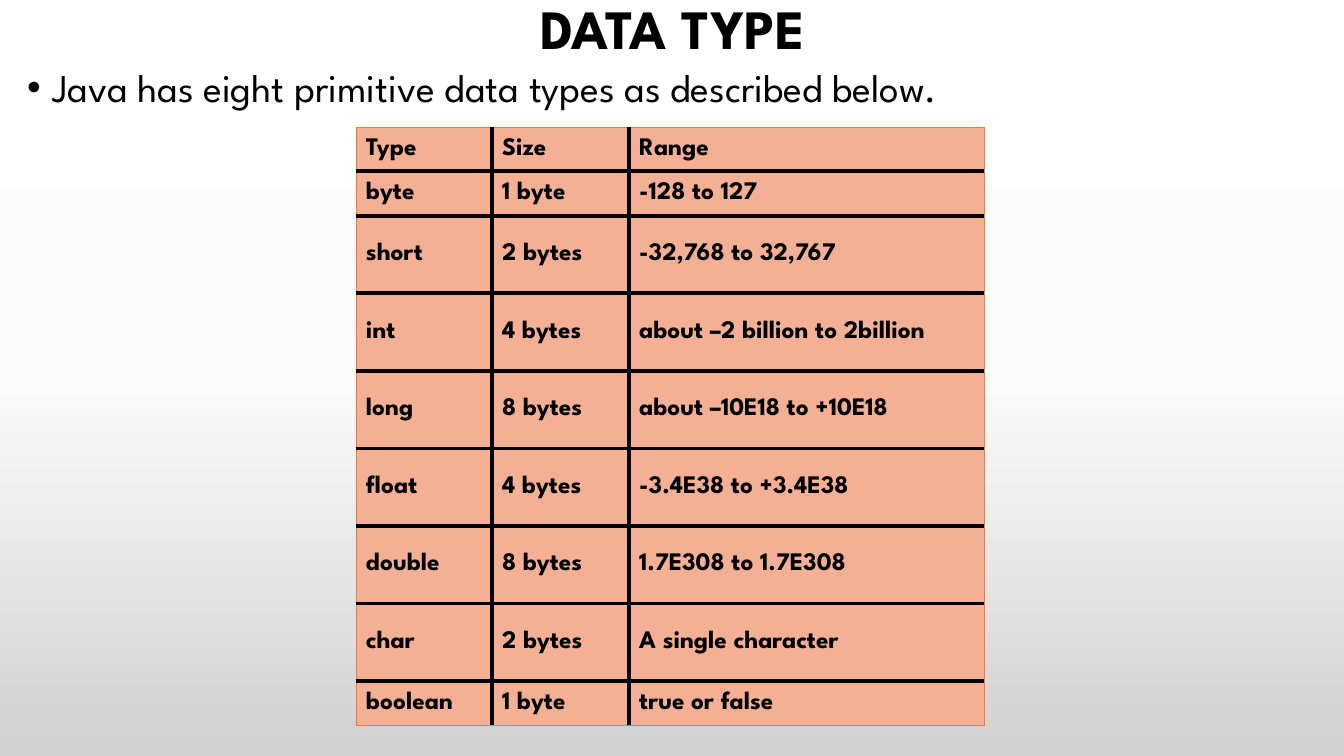
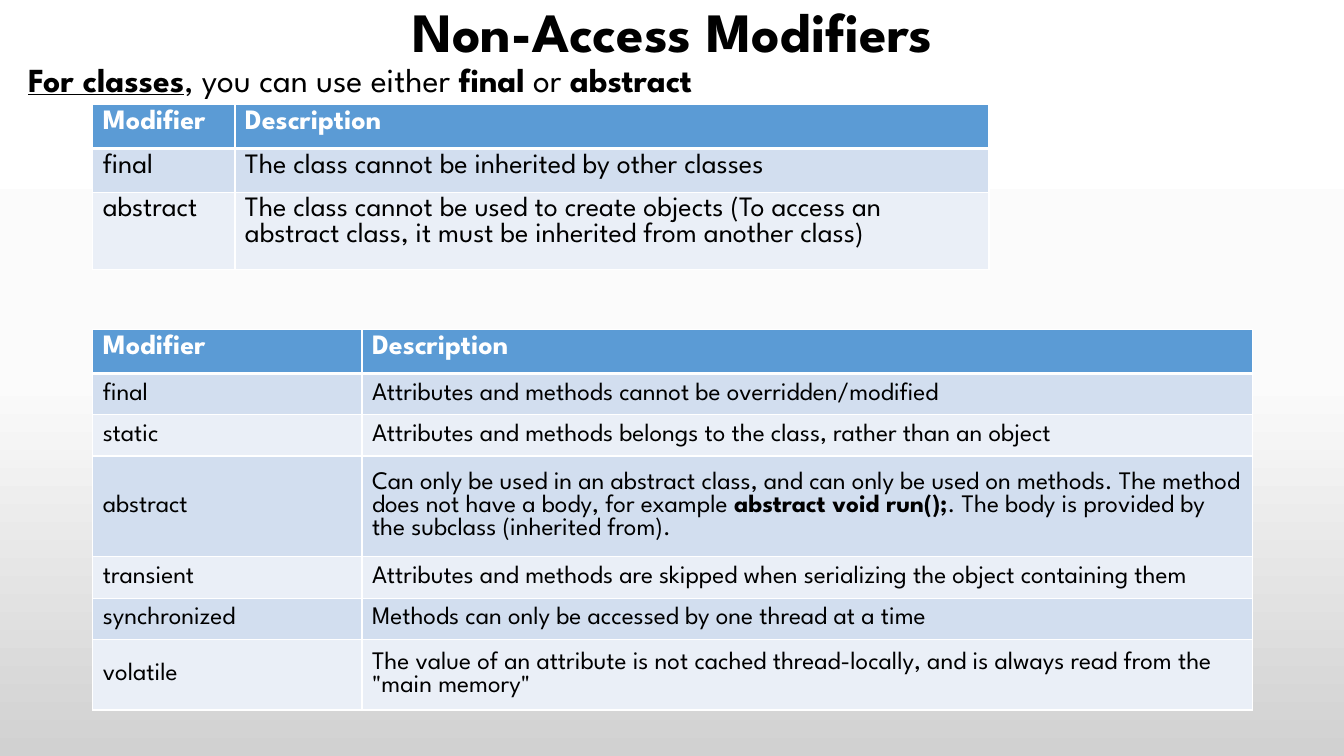
from copy import deepcopy

from lxml.etree import SubElement
from pptx import Presentation
from pptx.dml.color import RGBColor
from pptx.enum.text import MSO_ANCHOR, PP_ALIGN
from pptx.oxml.ns import qn
from pptx.util import Inches, Pt

FONT = "League Spartan"
BLACK, WHITE, ORANGE = "000000", "FFFFFF", "ED7D31"
SALMON, BLUE, PALE_BLUE, LIGHT_BLUE = "F4B095", "5B9BD5", "D2DEEF", "EAEFF7"
BACKGROUND_STOPS = [(0, WHITE), (0.5, "FBFBFB"), (1, "D1D1D1")]

DATA_STYLE = {
    "fills": [SALMON], "header_fill": SALMON, "header_color": BLACK,
    "outer": (ORANGE, 0.5), "inner": (BLACK, 3), "header_rule": (BLACK, 3),
    "header_size": 18, "header_anchor": MSO_ANCHOR.MIDDLE, "bold": True,
}
MODIFIER_STYLE = {
    "fills": [PALE_BLUE, LIGHT_BLUE], "header_fill": BLUE, "header_color": WHITE,
    "outer": (WHITE, 1), "inner": (WHITE, 1), "header_rule": (WHITE, 3),
    "header_size": 20, "header_anchor": MSO_ANCHOR.TOP, "bold": False,
}

DATA_TYPES = [
    ("Type", "Size", "Range"),
    ("byte", "1 byte", "-128 to 127"),
    ("short", "2 bytes", "-32,768 to 32,767"),
    ("int", "4 bytes", "about –2 billion to 2billion"),
    ("long", "8 bytes", "about –10E18 to +10E18"),
    ("float", "4 bytes", "-3.4E38 to +3.4E38"),
    ("double", "8 bytes", "1.7E308 to 1.7E308"),
    ("char", "2 bytes", "A single character"),
    ("boolean", "1 byte", "true or false"),
]
MODIFIER_HEADER = ("Modifier", "Description")
CLASS_MODIFIERS = [
    MODIFIER_HEADER,
    ("final", "The class cannot be inherited by other classes"),
    ("abstract", "The class cannot be used to create objects (To access an abstract class, "
                 "it must be inherited from another class)"),
]
MEMBER_MODIFIERS = [
    MODIFIER_HEADER,
    ("final", "Attributes and methods cannot be overridden/modified"),
    ("static", "Attributes and methods belongs to the class, rather than an object"),
    ("abstract", [
        ("Can only be used in an abstract class, and can only be used on methods. "
         "The method does not have a body, for example ", ""),
        ("abstract void run();", "b"),
        (". The body is provided by the subclass (inherited from).", ""),
    ]),
    ("transient", "Attributes and methods are skipped when serializing the object containing them"),
    ("synchronized", "Methods can only be accessed by one thread at a time"),
    ("volatile", "The value of an attribute is not cached thread-locally, "
                 "and is always read from the \"main memory\""),
]

SLIDES = [
    {
        "title": ("DATA TYPE", (0.92, 0, 11.5, 0.63)),
        "body": ("Java has eight primitive data types as described below.",
                 (0.17, 0.63, 12.94, 6.66), 28, True),
        "tables": [
            {"rows": DATA_TYPES, "style": DATA_STYLE, "at": (3.53, 1.26),
             "widths": [1.35, 1.36, 3.52], "heights": [0.44] * 2 + [0.77] * 6 + [0.44],
             "size": 18, "anchor": MSO_ANCHOR.MIDDLE},
        ],
    },
    {
        "title": ("Non-Access Modifiers", (0.92, 0.11, 11.5, 0.47)),
        "body": ([("For classes", "bu"), (", you can use either ", ""), ("final", "b"),
                  (" or ", ""), ("abstract", "b")],
                 (0.18, 0.58, 13.03, 6.81), 24, False),
        "tables": [
            {"rows": CLASS_MODIFIERS, "style": MODIFIER_STYLE, "at": (0.92, 1.04),
             "widths": [1.41, 7.48], "heights": [0.41] * 3,
             "size": 20, "anchor": MSO_ANCHOR.TOP},
            {"rows": MEMBER_MODIFIERS, "style": MODIFIER_STYLE, "at": (0.92, 3.27),
             "widths": [2.67, 8.83], "heights": [0.41] * 7,
             "size": 18, "anchor": MSO_ANCHOR.MIDDLE},
        ],
    },
]


def rgb(value):
    return RGBColor.from_string(value)


def write(paragraph, content, size, color=BLACK, bold=False):
    paragraph.font.name = FONT
    paragraph.font.size = Pt(size)
    paragraph.font.color.rgb = rgb(color)
    if isinstance(content, str):
        paragraph.font.bold = bold
        paragraph.add_run().text = content
        return
    for text, marks in content:
        run = paragraph.add_run()
        run.text = text
        run.font.bold = "b" in marks
        run.font.underline = "u" in marks


def add_text_box(slide, box):
    frame = slide.shapes.add_textbox(*map(Inches, box)).text_frame
    frame.word_wrap = True
    paragraph = frame.paragraphs[0]
    paragraph.line_spacing = 0.9
    return frame, paragraph


def add_title(slide, text, box):
    frame, paragraph = add_text_box(slide, box)
    frame.vertical_anchor = MSO_ANCHOR.MIDDLE
    paragraph.alignment = PP_ALIGN.CENTER
    write(paragraph, text, 39.6, bold=True)


def add_body(slide, content, box, size, bulleted):
    paragraph = add_text_box(slide, box)[1]
    paragraph.space_before = Pt(10)
    if bulleted:
        properties = paragraph._p.get_or_add_pPr()
        properties.set("marL", str(Inches(0.25)))
        properties.set("indent", str(Inches(-0.25)))
        SubElement(properties, qn("a:buFont"), typeface="Arial")
        SubElement(properties, qn("a:buChar"), char="•")
    write(paragraph, content, size)


def add_border(cell, side, color, width):
    line = SubElement(cell._tc.get_or_add_tcPr(), qn(f"a:{side}"), w=str(Pt(width)))
    fill = SubElement(line, qn("a:solidFill"))
    SubElement(fill, qn("a:srgbClr"), val=color)


def edge(style, index, count, horizontal):
    if index in (0, count):
        return style["outer"]
    return style["header_rule" if horizontal and index == 1 else "inner"]


def add_table(slide, rows, style, at, widths, heights, size, anchor):
    box = (*at, sum(widths), sum(heights))
    table = slide.shapes.add_table(len(rows), len(widths), *map(Inches, box)).table
    table.horz_banding = False
    for column, width in zip(table.columns, widths):
        column.width = Inches(width)
    for row_index, (values, height) in enumerate(zip(rows, heights)):
        table.rows[row_index].height = Inches(height)
        header = row_index == 0
        fills = style["fills"]
        fill = style["header_fill"] if header else fills[(row_index - 1) % len(fills)]
        for column_index, content in enumerate(values):
            cell = table.cell(row_index, column_index)
            cell.vertical_anchor = style["header_anchor"] if header else anchor
            for side, index, count, horizontal in (
                ("lnL", column_index, len(widths), False),
                ("lnR", column_index + 1, len(widths), False),
                ("lnT", row_index, len(rows), True),
                ("lnB", row_index + 1, len(rows), True),
            ):
                add_border(cell, side, *edge(style, index, count, horizontal))
            cell.fill.solid()
            cell.fill.fore_color.rgb = rgb(fill)
            write(cell.text_frame.paragraphs[0], content,
                  style["header_size"] if header else size,
                  style["header_color"] if header else BLACK,
                  header or style["bold"])


def set_background(master):
    fill = master.background.fill
    fill.gradient()
    fill.gradient_angle = 270
    stop_list = next(master.element.iter(qn("a:gsLst")))
    stop_list.append(deepcopy(stop_list[0]))
    for stop, (position, color) in zip(fill.gradient_stops, BACKGROUND_STOPS):
        stop.position = position
        stop.color.rgb = rgb(color)


def main():
    """Build the two slides on data types and modifiers."""
    presentation = Presentation()
    presentation.slide_width = Inches(13.33)
    presentation.slide_height = Inches(7.5)
    set_background(presentation.slide_master)
    for content in SLIDES:
        slide = presentation.slides.add_slide(presentation.slide_layouts[6])
        add_title(slide, *content["title"])
        add_body(slide, *content["body"])
        for table in content["tables"]:
            add_table(slide, **table)
    presentation.save("out.pptx")


if __name__ == "__main__":
    main()
